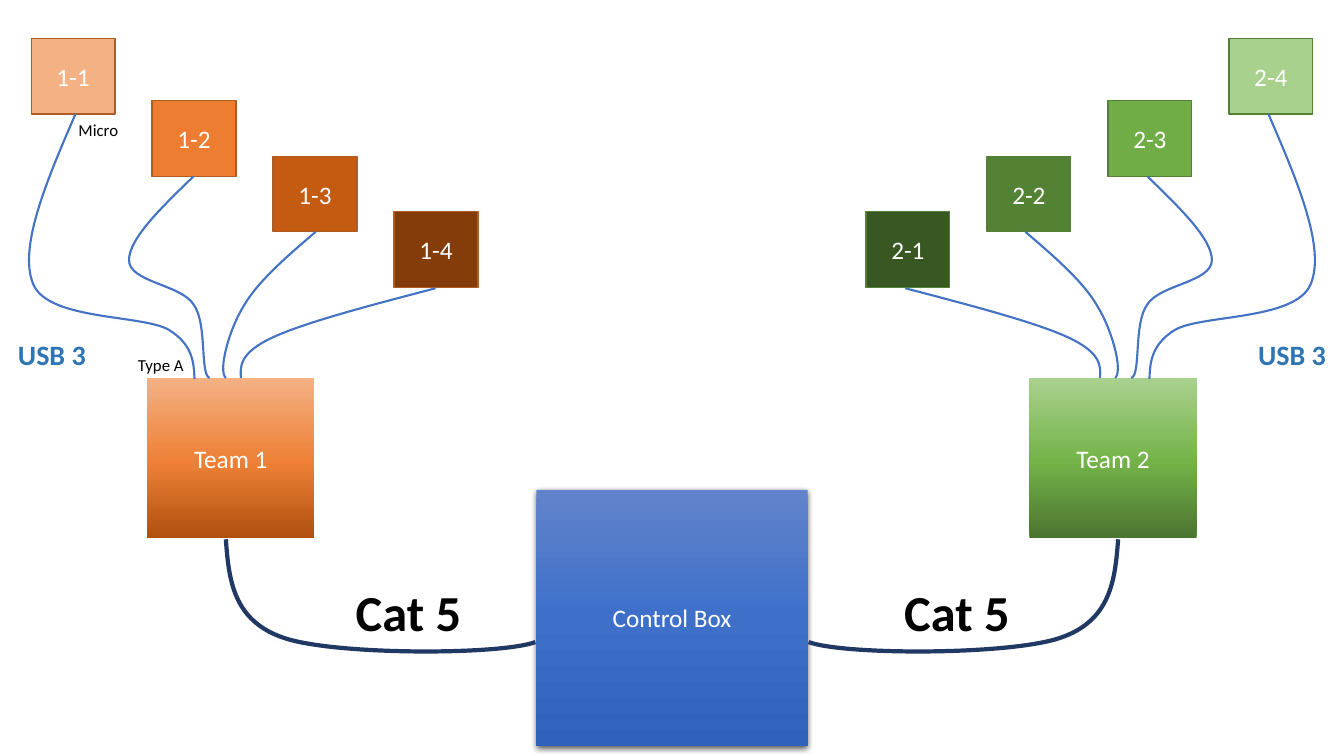
"""Build the wiring slide: two teams of boxes cabled to one control box."""
import pptx
import pptx.util
import pptx.dml.color
import pptx.enum.shapes
import pptx.enum.text
import pptx.oxml
import pptx.oxml.ns
from dataclasses import dataclass
from lxml import etree

COLS, ROWS = 1333, 750
UNIT = pptx.util.Inches(0.01)
ALIGN = pptx.enum.text.PP_ALIGN
qn = pptx.oxml.ns.qn


@dataclass(frozen=True)
class Theme:
    """Colours and type sizes of the slide."""
    font: str = "Calibri"
    white: str = "FFFFFF"
    black: str = "000000"
    usb: str = "2E75B6"
    usb_edge: str = "B4C7E7"
    cat_edge: str = "8FAADC"
    usb_cable: str = "4472C4"
    cat_cable: str = "203864"
    control: tuple = ((0, "6183CB"), (50, "3E70CA"), (100, "3062BB"))
    box_size: int = 18
    cat_size: int = 36
    usb_size: int = 20
    plug_size: int = 12


T = Theme()
TEAMS = [
    dict(number=1, box=(0, 0, 666, ROWS), flip=False, nudge=0, cat_left=343,
         edge="AF5C24", numbers=(1, 2, 3, 4),
         fills=("F4B183", "ED7D31", "C55A11", "843C0B"),
         stops=((0, "B0500F"), (48, "EE8137"), (100, "F4B183"))),
    dict(number=2, box=(667, 0, 666, ROWS), flip=True, nudge=3, cat_left=220,
         edge="538035", numbers=(4, 3, 2, 1),
         fills=("A9D18E", "70AD47", "548235", "385723"),
         stops=((0, "4B7430"), (48, "74B349"), (100, "A9D18E"))),
]
BOX_TOPS = (38, 100, 155, 210)
USB_CABLES = [
    [(75, 113), (46, 180), (18, 246), (33, 282), (48, 318), (140, 312),
     (167, 327), (194, 343), (192, 365), (193, 376)],
    [(192, 175), (160, 206), (128, 237), (128, 258), (128, 280), (179, 282),
     (192, 302), (206, 321), (198, 372), (208, 375)],
    [(313, 230), (285, 254), (256, 279), (242, 303), (227, 327), (216, 368),
     (224, 375)],
    [(432, 286), (367, 303), (302, 320), (270, 335), (238, 350), (238, 363),
     (239, 375)],
]
CAT_CABLE = [(224, 535), (227, 575), (231, 616), (282, 633), (333, 650),
             (495, 650), (531, 637)]


def emu(n):
    """Turn grid units into EMU."""
    return round(n * UNIT)


def rgb(color):
    """Turn a hex string into a colour."""
    return pptx.dml.color.RGBColor.from_string(color)


def write(sp, text, size, color, align, edge=None, **font):
    """Put one formatted line of text in a shape, optionally outlined."""
    p = sp.text_frame.paragraphs[0]
    p.alignment = align
    r = p.add_run()
    r.text = text
    for name, value in dict(name=T.font, size=pptx.util.Pt(size), **font).items():
        setattr(r.font, name, value)
    r.font.color.rgb = rgb(color)
    if edge:
        edge_color, width = edge
        ln = etree.Element(qn("a:ln"), w=str(pptx.util.Pt(width)))
        fill = etree.SubElement(ln, qn("a:solidFill"))
        etree.SubElement(fill, qn("a:srgbClr"), val=edge_color)
        r.font._element.insert(0, ln)


def add_box(slide, box, text, fill=None, edge=None, stops=None, angle=90):
    """Add a labelled rectangle with a plain or gradient fill."""
    sp = slide.shapes.add_shape(pptx.enum.shapes.MSO_SHAPE.RECTANGLE, *map(emu, box))
    sp.shadow.inherit = False
    if stops:
        sp.fill.gradient()
        sp.fill.gradient_angle = angle
        gs_list = sp._element.spPr.find(".//" + qn("a:gsLst"))
        for gs in list(gs_list):
            gs_list.remove(gs)
        for pos, color in stops:
            gs = etree.SubElement(gs_list, qn("a:gs"), pos=str(pos * 1000))
            etree.SubElement(gs, qn("a:srgbClr"), val=color)
    else:
        sp.fill.solid()
        sp.fill.fore_color.rgb = rgb(fill)
    if edge:
        sp.line.color.rgb = rgb(edge)
        sp.line.width = pptx.util.Pt(1)
    else:
        sp.line.fill.background()
    sp.text_frame.vertical_anchor = pptx.enum.text.MSO_ANCHOR.MIDDLE
    write(sp, text, T.box_size, T.white, ALIGN.CENTER)
    return sp


def add_label(slide, box, text, size, color, align=ALIGN.LEFT, wrap=True, **style):
    """Add a text box that grows with its text."""
    sp = slide.shapes.add_textbox(*map(emu, box))
    sp.text_frame.word_wrap = wrap
    sp.text_frame.auto_size = pptx.enum.text.MSO_AUTO_SIZE.SHAPE_TO_FIT_TEXT
    write(sp, text, size, color, align, **style)


def add_cable(slide, points, color, width):
    """Add a smooth cable: a start point, then triples of Bezier points."""
    points = [(emu(x), emu(y)) for x, y in points]
    builder = slide.shapes.build_freeform(*points[0])
    builder.add_line_segments(points[3::3], close=False)
    sp = builder.convert_to_shape()
    for i, segment in enumerate(list(sp._element.iter(qn("a:lnTo")))):
        curve = etree.Element(qn("a:cubicBezTo"))
        for x, y in points[3 * i + 1:3 * i + 4]:
            etree.SubElement(curve, qn("a:pt"), x=str(x - sp.left), y=str(y - sp.top))
        segment.getparent().replace(segment, curve)
    sp.shadow.inherit = False
    sp.fill.background()
    sp.line.color.rgb = rgb(color)
    sp.line.width = pptx.util.Pt(width)


def add_control(slide, box):
    """Add the control box with its soft shadow."""
    sp = add_box(slide, box, "Control Box", stops=T.control, angle=270)
    effects = sp._element.spPr.find(qn("a:effectLst"))
    shadow = etree.SubElement(
        effects, qn("a:outerShdw"), blurRad=str(pptx.util.Pt(4.5)),
        dist=str(pptx.util.Pt(1.5)), dir="5400000", algn="ctr", rotWithShape="0")
    color = etree.SubElement(shadow, qn("a:srgbClr"), val=T.black)
    etree.SubElement(color, qn("a:alpha"), val="63000")


def add_team(slide, box, number, flip, nudge, cat_left, edge, numbers, fills, stops):
    """Add one team's boxes, cables and labels, mirrored when flipped."""
    left, top, width, _ = box

    def place(x, y, w, h):
        return (left + (width - x - w if flip else x), top + y, w, h)

    def route(points, shift=0):
        return [(left + (width - x - shift if flip else x), top + y) for x, y in points]

    add_box(slide, place(146, 375, 166, 159), f"Team {number}", stops=stops)
    for i, (y, fill) in enumerate(zip(BOX_TOPS, fills)):
        add_box(slide, place(31 + 120 * i, y, 83, 75), f"{number}-{numbers[i]}", fill, edge)
    for i, points in enumerate(USB_CABLES):
        add_cable(slide, route(points, nudge if i else 0), T.usb_cable, 1.5)
    add_cable(slide, route(CAT_CABLE), T.cat_cable, 3)
    add_label(slide, (left + cat_left, top + 572, 126, 71), "Cat 5", T.cat_size, T.black,
              wrap=False, bold=True, edge=(T.cat_edge, 1))
    add_label(slide, place(8, 330, 92, 44), "USB 3", T.usb_size, T.usb,
              ALIGN.RIGHT if flip else ALIGN.LEFT, bold=True, edge=(T.usb_edge, 0.5))


def add_plugs(slide, box):
    """Name the two plugs of the first cable."""
    left, top, width, height = box
    for x, y, text in ((68, 114, "Micro"), (127, 347, "Type A")):
        add_label(slide, (left + x, top + y, 68, 30), text, T.plug_size, T.black)


def main():
    """Build and save the slide."""
    prs = pptx.Presentation()
    prs.slide_width, prs.slide_height = emu(COLS), emu(ROWS)
    slide = prs.slides.add_slide(prs.slide_layouts[6])
    add_control(slide, (532, 486, 269, 254))
    for team in TEAMS:
        add_team(slide, **team)
    add_plugs(slide, TEAMS[0]["box"])
    prs.save("out.pptx")


if __name__ == "__main__":
    main()
